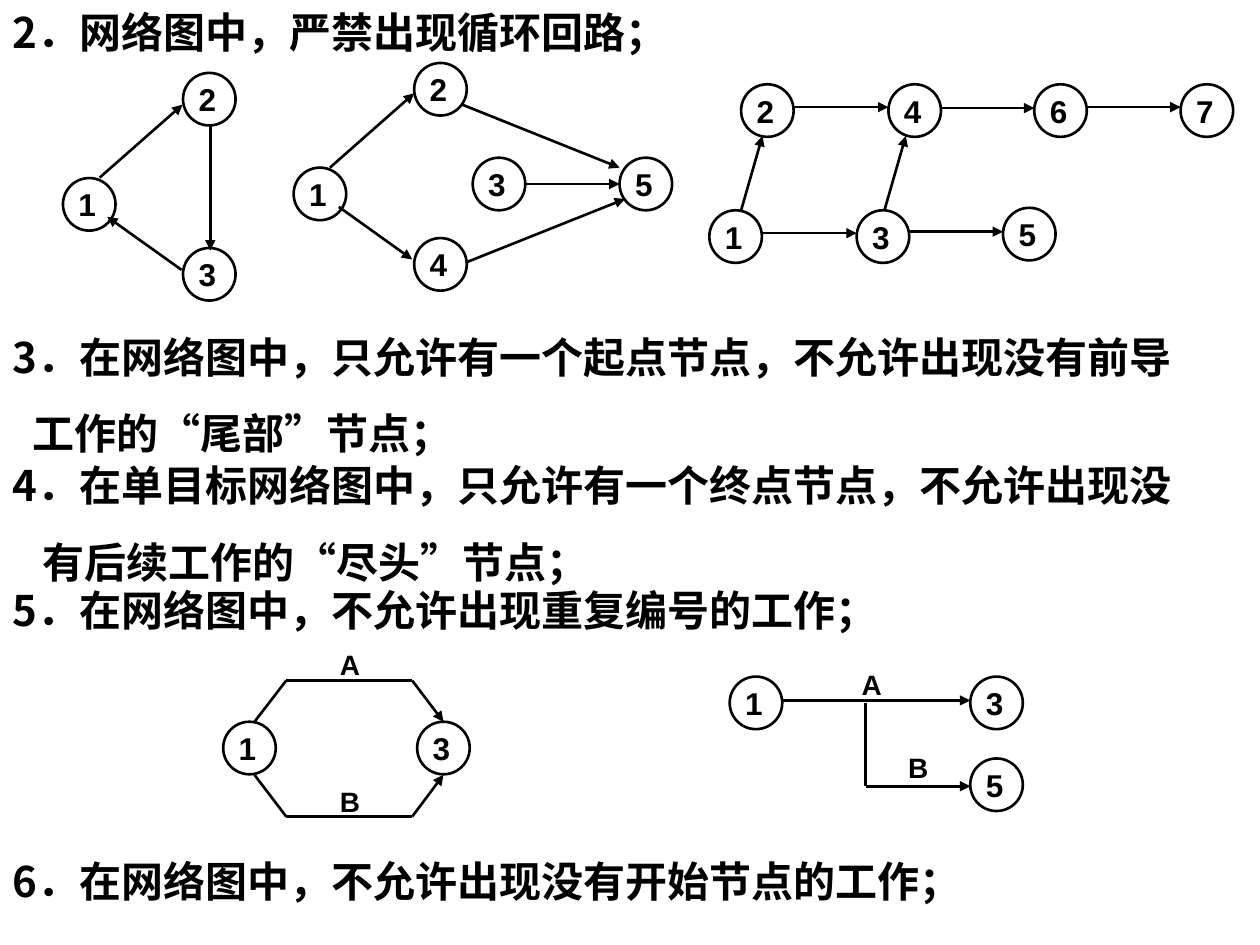
"""Build a slide on the drawing rules for network diagrams."""
from lxml import etree
from pptx import Presentation
from pptx import util as u
from pptx.dml.color import RGBColor
from pptx.enum import shapes, text
from pptx.oxml import ns

BLACK = RGBColor(0, 0, 0)
WHITE = RGBColor(255, 255, 255)
LATIN = "Arial"
CHINESE = "Noto Sans CJK SC"

RULES = [
    (0, 17.15, [("2．网络图中，严禁出现循环回路；", 0)]),
    (6.55, 24.77, [("3．在网络图中，只允许有一个起点节点，不允许出现没有前导", 0),
                   ("工作的“尾部”节点；", 0.41)]),
    (9.14, 24.56, [("4．在单目标网络图中，只允许有一个终点节点，不允许出现没", 0),
                   ("有后续工作的“尽头”节点；", 0.6)]),
    (11.66, 23.93, [("5．在网络图中，不允许出现重复编号的工作；", 0)]),
    (17.12, 20.12, [("6．在网络图中，不允许出现没有开始节点的工作；", 0)]),
]

LOOP = {
    "nodes": [("1", 1.27, 3.59), ("2", 3.69, 1.47), ("3", 3.69, 5)],
    "arrows": [(4.24, 2.51, 4.24, 5.05), (2.01, 3.58, 3.68, 2.11),
               (3.66, 5.44, 2.16, 4.37)],
}
TWO_STARTS = {
    "nodes": [("1", 5.92, 3.38), ("2", 8.35, 1.27), ("3", 9.53, 3.18),
              ("4", 8.35, 4.8), ("5", 12.49, 3.18)],
    "arrows": [(6.65, 3.38, 8.35, 1.88), (6.83, 4.17, 8.31, 5.23),
               (10.59, 3.71, 12.49, 3.71), (9.32, 2.11, 12.49, 3.38),
               (9.42, 5.28, 12.6, 4.01)],
}
TWO_ENDS = {
    "nodes": [("1", 14.3, 4.24), ("2", 14.94, 1.7), ("3", 17.27, 4.24),
              ("4", 17.91, 1.7), ("5", 20.22, 4.19), ("6", 20.85, 1.7),
              ("7", 23.8, 1.7)],
    "arrows": [(16, 2.16, 17.91, 2.16), (18.95, 2.18, 20.85, 2.18),
               (21.89, 2.16, 23.8, 2.16), (15.37, 4.7, 17.27, 4.7),
               (18.31, 4.67, 20.22, 4.67), (14.94, 4.24, 15.37, 2.74),
               (17.83, 4.24, 18.26, 2.74)],
}
SAME_NUMBERS = {
    "nodes": [("1", 4.5, 14.55), ("3", 8.41, 14.55)],
    "lines": [(5.77, 13.72, 8.31, 13.72), (5.77, 13.72, 5.13, 14.55),
              (5.77, 16.46, 8.31, 16.46), (5.77, 16.46, 5.13, 15.62)],
    "arrows": [(8.31, 13.72, 8.94, 14.55), (8.31, 16.46, 8.94, 15.62)],
    "labels": [("A", 6.6, 12.93), ("B", 6.6, 15.7)],
}
NO_START = {
    "nodes": [("1", 14.71, 13.64), ("3", 19.56, 13.64), ("5", 19.56, 15.29)],
    "lines": [(17.45, 14.17, 17.45, 15.85)],
    "arrows": [(15.75, 14.12, 19.56, 14.12), (17.45, 15.85, 19.56, 15.85)],
    "labels": [("A", 17.12, 13.34), ("B", 18.06, 15.01)],
}


def write(para, words, size, font=LATIN, align=text.PP_ALIGN.LEFT, indent=0, before=0):
    """Put formatted words into a paragraph."""
    if indent:
        para._p.get_or_add_pPr().set("marL", str(u.Cm(indent)))
    para.alignment = align
    para.space_before = u.Pt(before)
    span = para.add_run()
    span.text = words
    span.font.size = u.Pt(size)
    span.font.bold = True
    span.font.color.rgb = BLACK
    span.font.name = font
    properties = span._r.get_or_add_rPr()
    etree.SubElement(properties, ns.qn("a:ea"), typeface=font)


class Diagrammer:
    """Draw rules and network diagrams in one style on the current slide."""

    node_size = 1.06
    line_width = u.Pt(1.5)

    def __init__(self, page):
        """Remember the slide."""
        self.page = page

    def text_box(self, parent, left, top, width, height):
        """Add an empty wrapping text box."""
        box = parent.add_textbox(u.Cm(left), u.Cm(top), u.Cm(width), u.Cm(height))
        box.text_frame.word_wrap = True
        return box.text_frame

    def rule(self, top, width, lines):
        """Add one numbered rule of one or more lines."""
        frame = self.text_box(self.page.shapes, 0, top, width, 1.27 * len(lines))
        for number, (words, indent) in enumerate(lines):
            para = frame.add_paragraph() if number else frame.paragraphs[0]
            write(para, words, 24, font=CHINESE, indent=indent, before=15 if number else 0)

    def node(self, parent, number, left, top):
        """Add a numbered circle."""
        circle = parent.add_shape(shapes.MSO_SHAPE.OVAL, u.Cm(left), u.Cm(top),
                                  u.Cm(self.node_size), u.Cm(self.node_size))
        circle.shadow.inherit = False
        circle.fill.background()
        circle.line.color.rgb = BLACK
        circle.line.width = self.line_width
        frame = circle.text_frame
        frame.margin_left = frame.margin_top = frame.margin_bottom = 0
        frame.margin_right = u.Cm(0.08)
        frame.vertical_anchor = text.MSO_ANCHOR.MIDDLE
        frame.word_wrap = False
        write(frame.paragraphs[0], number, 18, align=text.PP_ALIGN.CENTER)

    def line(self, parent, ends, arrow=False):
        """Add a straight line, with an arrowhead at its end if asked."""
        connector = parent.add_connector(shapes.MSO_CONNECTOR.STRAIGHT, *map(u.Cm, ends))
        connector.line.color.rgb = BLACK
        connector.line.width = self.line_width
        properties = connector.element.spPr
        if arrow:
            outline = properties.find(ns.qn("a:ln"))
            etree.SubElement(outline, ns.qn("a:tailEnd"), type="triangle")
        etree.SubElement(properties, ns.qn("a:effectLst"))

    def label(self, parent, words, left, top):
        """Add the name of an activity."""
        frame = self.text_box(parent, left, top, 1.12, 0.94)
        write(frame.paragraphs[0], words, 16)

    def network(self, nodes, arrows, lines=(), labels=()):
        """Add a whole diagram as one group."""
        parent = self.page.shapes.add_group_shape().shapes
        for node in nodes:
            self.node(parent, *node)
        for ends in lines:
            self.line(parent, ends)
        for ends in arrows:
            self.line(parent, ends, arrow=True)
        for label in labels:
            self.label(parent, *label)


def main():
    """Build and save the deck."""
    deck = Presentation()
    deck.slide_width, deck.slide_height = u.Cm(25.4), u.Cm(19.05)
    page = deck.slides.add_slide(deck.slide_layouts[6])
    page.background.fill.solid()
    page.background.fill.fore_color.rgb = WHITE
    diagrammer = Diagrammer(page)
    for rule in RULES:
        diagrammer.rule(*rule)
    for network in (LOOP, TWO_STARTS, TWO_ENDS, SAME_NUMBERS, NO_START):
        diagrammer.network(**network)
    deck.save("out.pptx")


if __name__ == "__main__":
    main()
